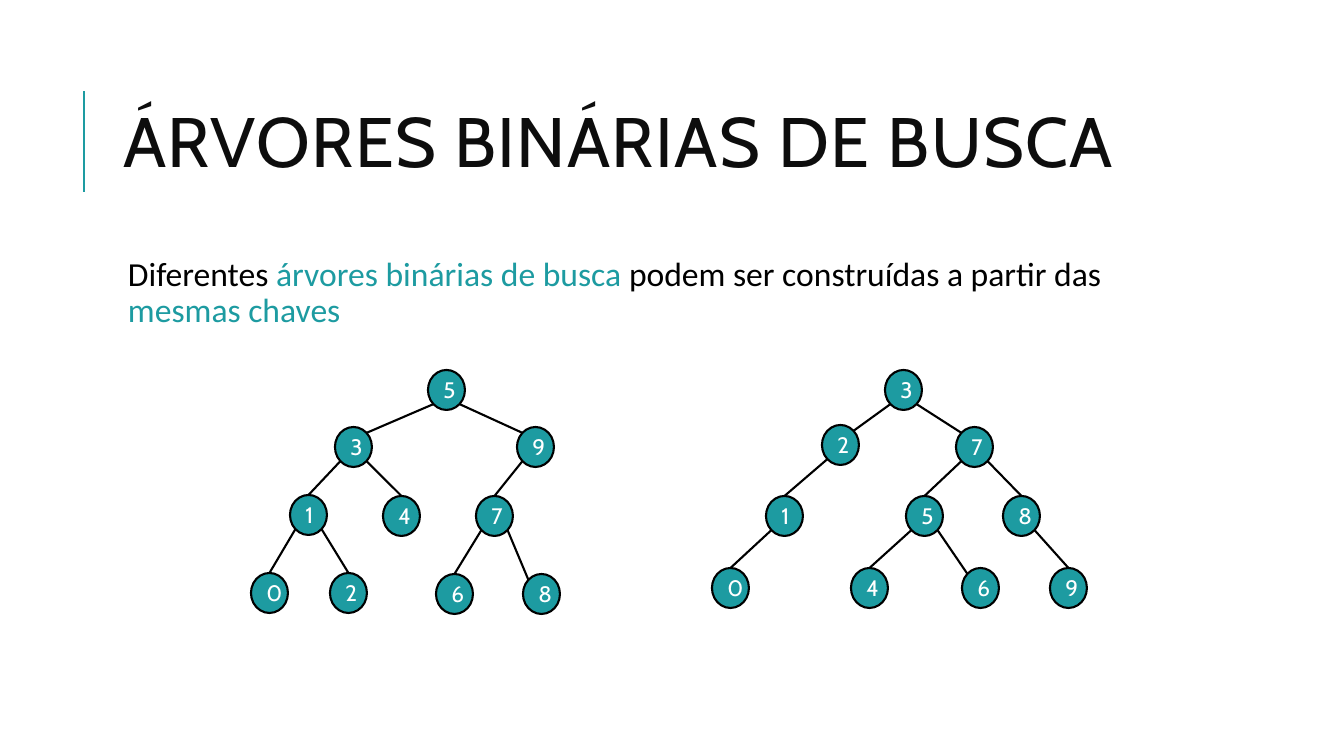
from dataclasses import dataclass

from lxml.etree import SubElement
from pptx import Presentation
from pptx.dml.color import RGBColor
from pptx.enum.shapes import MSO_CONNECTOR, MSO_SHAPE
from pptx.enum.text import MSO_ANCHOR, MSO_AUTO_SIZE, PP_ALIGN
from pptx.oxml.ns import qn
from pptx.util import Emu, Pt

# Content
TITLE = "ÁRVORES BINÁRIAS DE BUSCA"
STATEMENT = [  # (words, highlighted)
    ("Diferentes ", False),
    ("árvores binárias de busca ", True),
    ("podem ser construídas a partir das ", False),
    ("mesmas chaves", True),
]
# key: (left, top, parent key, edge lands on the child's side); px
TREES = [
    {
        5: (428, 370, None, False),
        3: (335, 427, 5, True),
        9: (517, 427, 5, True),
        1: (290, 495, 3, False),
        4: (383, 496, 3, False),
        7: (476, 496, 9, False),
        0: (251, 573, 1, False),
        2: (330, 573, 1, False),
        6: (436, 574, 7, False),
        8: (523, 574, 7, True),
    },
    {
        3: (885, 370, None, False),
        2: (822, 425, 3, True),
        7: (956, 427, 3, True),
        1: (766, 496, 2, False),
        5: (906, 496, 7, False),
        8: (1003, 496, 7, False),
        0: (712, 568, 1, False),
        4: (851, 568, 5, False),
        6: (962, 568, 5, True),
        9: (1050, 568, 8, False),
    },
]


@dataclass(frozen=True)
class Theme:
    teal: RGBColor = RGBColor(0x1D, 0x9B, 0xA1)
    black: RGBColor = RGBColor(0, 0, 0)
    ink: RGBColor = RGBColor(0x0D, 0x0D, 0x0D)
    white: RGBColor = RGBColor(0xFF, 0xFF, 0xFF)
    heading: str = "Cabin"
    body: str = "Calibri"
    title_size: int = 50
    body_size: int = 24
    key_size: int = 16
    stroke: float = 1.5


THEME = Theme()
NODE_W, NODE_H = 37, 40
DIAGONAL = 0.3536  # half the cosine of 45 degrees


def px(length):
    return Emu(round(length * 914400 / 100.8))


def style(run, face, size, color):
    run.font.name = face
    run.font.size = Pt(size)
    run.font.color.rgb = color


def add_line(shapes, start, end, color):
    line = shapes.add_connector(
        MSO_CONNECTOR.STRAIGHT, *(px(v) for v in (*start, *end)))
    line.line.color.rgb = color
    line.line.width = Pt(THEME.stroke)
    SubElement(line._element.spPr, qn("a:effectLst"))


def rim(node, across, down):
    """Point on a node's outline, offset from its centre."""
    left, top = node[:2]
    return left + NODE_W * (0.5 + across), top + NODE_H * (0.5 + down)


def add_node(shapes, key, left, top):
    node = shapes.add_shape(
        MSO_SHAPE.OVAL, px(left), px(top), px(NODE_W), px(NODE_H))
    node.shadow.inherit = False
    node.fill.solid()
    node.fill.fore_color.rgb = THEME.teal
    node.line.color.rgb = THEME.black
    node.line.width = Pt(THEME.stroke)
    frame = node.text_frame
    frame.text = str(key)
    frame.vertical_anchor = MSO_ANCHOR.MIDDLE
    label = frame.paragraphs[0]
    label.alignment = PP_ALIGN.CENTER
    style(label.runs[0], THEME.heading, THEME.key_size, THEME.white)


def add_tree(slide, tree):
    shapes = slide.shapes.add_group_shape().shapes
    for key, (left, top, parent, on_side) in tree.items():
        add_node(shapes, key, left, top)
        if parent is None:
            continue
        # Smaller keys hang to the left of their parent
        side = DIAGONAL if key > parent else -DIAGONAL
        start = rim(tree[parent], side, DIAGONAL)
        landing = (-side, -DIAGONAL) if on_side else (0, -0.5)
        add_line(shapes, start, rim(tree[key], *landing), THEME.black)


def add_title(slide):
    title = slide.shapes.title
    title.left, title.top, title.width, title.height = map(px, (113, 65, 1072, 165))
    frame = title.text_frame
    frame.text = TITLE
    frame.word_wrap = True
    frame.auto_size = MSO_AUTO_SIZE.NONE
    frame.vertical_anchor = MSO_ANCHOR.MIDDLE
    heading = frame.paragraphs[0]
    heading.alignment = PP_ALIGN.LEFT
    heading.line_spacing = 0.8
    style(heading.runs[0], THEME.heading, THEME.title_size, THEME.ink)
    heading.runs[0].font._element.set("spc", "100")


def add_statement(slide):
    frame = slide.shapes.add_textbox(*map(px, (113, 252, 1072, 444))).text_frame
    frame.word_wrap = True
    frame.margin_left = px(15)
    frame.margin_right = frame.margin_top = frame.margin_bottom = px(5)
    sentence = frame.paragraphs[0]
    sentence.line_spacing = 0.9
    for words, highlighted in STATEMENT:
        run = sentence.add_run()
        run.text = words
        style(run, THEME.body, THEME.body_size,
              THEME.teal if highlighted else THEME.black)


def main():
    deck = Presentation()
    deck.slide_width, deck.slide_height = px(1344), px(756)
    slide = deck.slides.add_slide(deck.slide_layouts[5])

    # Heading with its accent rule
    add_line(slide.shapes, (84, 192), (84, 91), THEME.teal)
    add_title(slide)

    # Statement and the two trees
    add_statement(slide)
    for tree in TREES:
        add_tree(slide, tree)

    deck.save("out.pptx")


if __name__ == "__main__":
    main()
